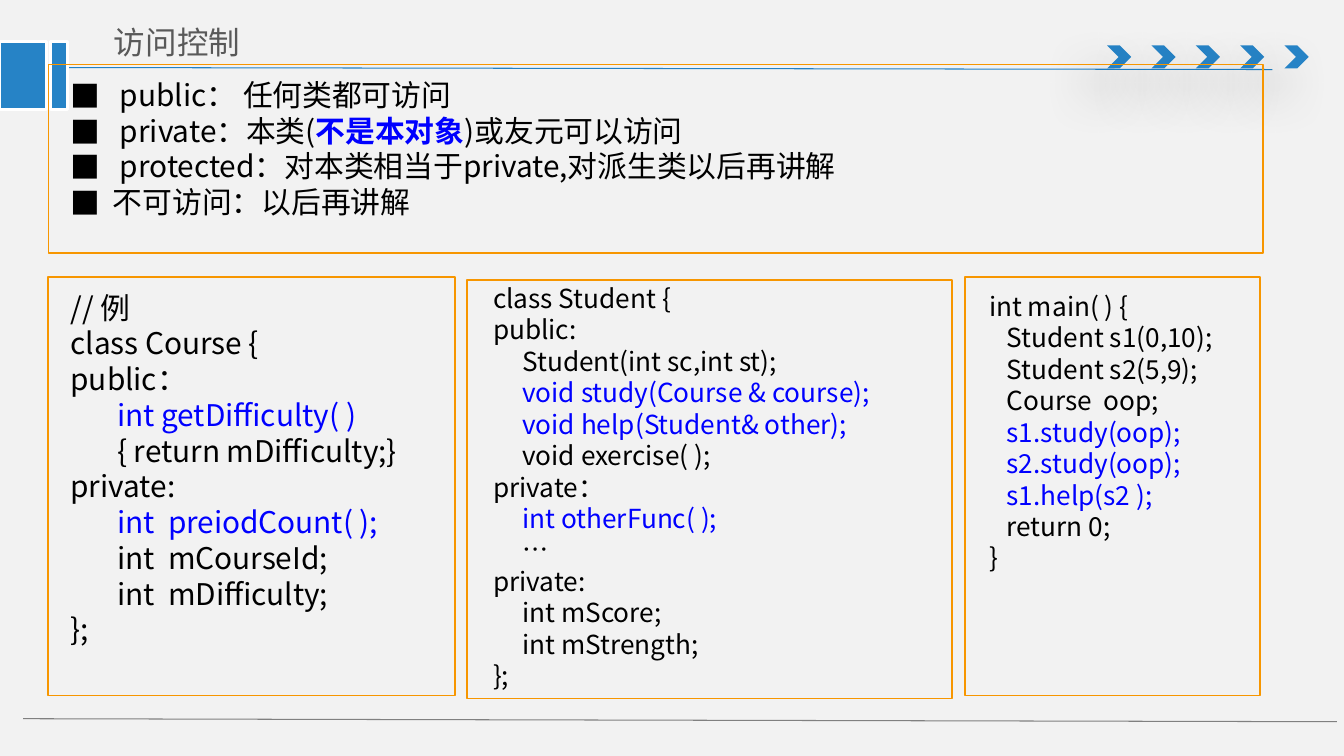
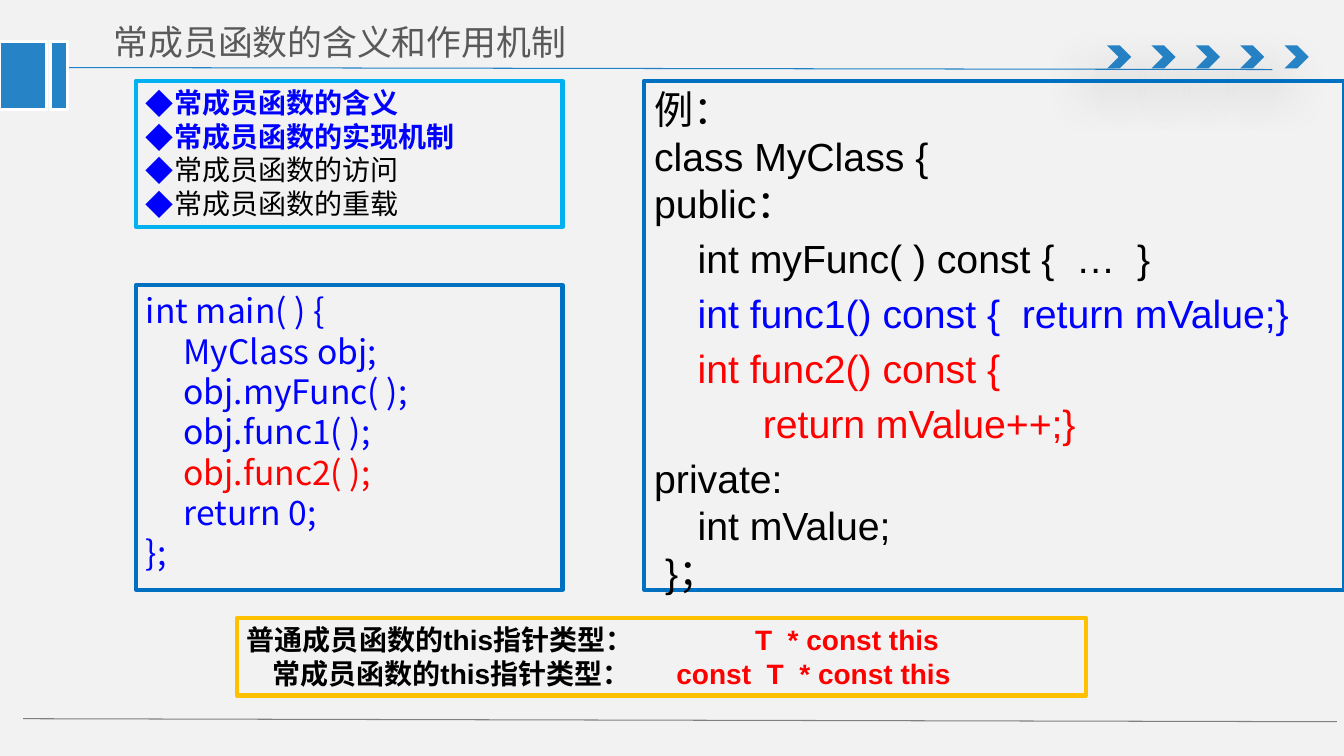
from dataclasses import dataclass
from typing import Optional

import lxml.etree
import pptx
import pptx.dml.color
import pptx.enum.shapes
import pptx.enum.text
import pptx.oxml.ns
import pptx.presentation
import pptx.shapes.autoshape
import pptx.slide
import pptx.util

Inches = pptx.util.Inches
Pt = pptx.util.Pt
RGBColor = pptx.dml.color.RGBColor
Shapes = pptx.enum.shapes.MSO_SHAPE

PAPER = RGBColor(0xF2, 0xF2, 0xF2)
ACCENT = RGBColor(0x26, 0x83, 0xC6)
TITLE_RULE = RGBColor(0x21, 0x81, 0xC6)
FOOTER_RULE = RGBColor(0x80, 0x80, 0x80)
WHITE = RGBColor(0xFF, 0xFF, 0xFF)
BLACK = RGBColor(0x00, 0x00, 0x00)
TITLE_GRAY = RGBColor(0x59, 0x59, 0x59)
BLUE = RGBColor(0x00, 0x00, 0xFF)
RED = RGBColor(0xFF, 0x00, 0x00)
ORANGE = RGBColor(0xF7, 0x96, 0x00)
DEEP_BLUE = RGBColor(0x00, 0x70, 0xC0)
SKY_BLUE = RGBColor(0x00, 0xB0, 0xF0)
GOLD = RGBColor(0xFF, 0xC0, 0x00)

LATIN_FONT = "Arial"
CHINESE_FONT = "Noto Sans CJK SC"


@dataclass(frozen=True)
class Run:
    text: str
    color: RGBColor = BLACK
    bold: bool = False


@dataclass(frozen=True)
class Line:
    runs: tuple[Run, ...]
    bullet: str = ""
    bullet_color: RGBColor = BLACK
    indent: float = 0
    tabs: tuple[float, ...] = ()
    space_before: float = 0


@dataclass(frozen=True)
class Box:
    left: float
    top: float
    width: float
    height: float
    border: Optional[RGBColor]
    border_width: float
    size: float
    lines: tuple[Line, ...]
    font: str = CHINESE_FONT
    inset_left: float = 0.1
    inset_top: float = 0.05


def code(text: str, color: RGBColor = BLACK, space_before: float = 0) -> tuple[Line, ...]:
    first, *rest = text.split("\n")
    return (
        Line((Run(first, color),), space_before=space_before),
        *(Line((Run(line, color),)) for line in rest),
    )


def square_item(indent: float, *runs: Run) -> Line:
    return Line(runs, "■", indent=indent)


def diamond_item(text: str, color: RGBColor, bold: bool) -> Line:
    return Line((Run(text, color, bold),), "◆", BLUE, 0.27)


def add_element(parent, tag: str, **attributes):
    element = lxml.etree.SubElement(parent, pptx.oxml.ns.qn(tag))
    for name, value in attributes.items():
        element.set(name, str(value))
    return element


def set_east_asian_font(font_element) -> None:
    latin = font_element.find(pptx.oxml.ns.qn("a:latin"))
    east_asian = add_element(font_element, "a:ea", typeface=CHINESE_FONT)
    latin.addnext(east_asian)


def style_font(font, color: RGBColor, bold: bool) -> None:
    font.color.rgb = color
    font.bold = bold


def write_line(paragraph, line: Line, size: float, font_name: str) -> None:
    paragraph.alignment = pptx.enum.text.PP_ALIGN.LEFT
    paragraph.space_before = Pt(line.space_before)
    properties = paragraph._p.get_or_add_pPr()
    if line.bullet:
        properties.set("marL", str(Inches(line.indent)))
        properties.set("indent", str(-Inches(line.indent)))
        bullet_color = add_element(properties, "a:buClr")
        add_element(bullet_color, "a:srgbClr", val=line.bullet_color)
        add_element(properties, "a:buFont", typeface=CHINESE_FONT)
        add_element(properties, "a:buChar", char=line.bullet)
    if line.tabs:
        tab_list = add_element(properties, "a:tabLst")
        for position in line.tabs:
            add_element(tab_list, "a:tab", pos=Inches(position), algn="l")
    paragraph.font.size = Pt(size)
    paragraph.font.name = font_name
    set_east_asian_font(properties.find(pptx.oxml.ns.qn("a:defRPr")))
    uniform = len({(run.color, run.bold) for run in line.runs}) == 1
    if uniform:
        style_font(paragraph.font, line.runs[0].color, line.runs[0].bold)
    for run in line.runs:
        text_run = paragraph.add_run()
        text_run.text = run.text
        if not uniform:
            style_font(text_run.font, run.color, run.bold)


def add_box(slide: pptx.slide.Slide, box: Box) -> None:
    shape = add_shape(slide, Shapes.RECTANGLE, box.left, box.top, box.width, box.height)
    shape.fill.background()
    shape.line.color.rgb = box.border
    shape.line.width = Pt(box.border_width)
    frame = shape.text_frame
    frame.word_wrap = True
    frame.vertical_anchor = pptx.enum.text.MSO_ANCHOR.TOP
    frame.margin_left = Inches(box.inset_left)
    frame.margin_top = Inches(box.inset_top)
    frame.margin_right = Inches(0.1)
    for index, line in enumerate(box.lines):
        paragraph = frame.add_paragraph() if index else frame.paragraphs[0]
        write_line(paragraph, line, box.size, box.font)


def add_shape(
    slide: pptx.slide.Slide, kind: Shapes, left: float, top: float, width: float, height: float
) -> pptx.shapes.autoshape.Shape:
    shape = slide.shapes.add_shape(kind, Inches(left), Inches(top), Inches(width), Inches(height))
    shape.shadow.inherit = False
    return shape


def add_rule(
    slide: pptx.slide.Slide, start: tuple[float, float], end: tuple[float, float], color: RGBColor
) -> None:
    rule = slide.shapes.add_connector(
        pptx.enum.shapes.MSO_CONNECTOR.STRAIGHT, *map(Inches, (*start, *end))
    )
    rule.line.color.rgb = color
    rule.line.width = Pt(0.75)
    add_element(rule._element.spPr, "a:effectLst")


def add_chevron(slide: pptx.slide.Slide, left: float) -> None:
    chevron = add_shape(slide, Shapes.CHEVRON, left, 0.45, 0.24, 0.23)
    chevron.fill.solid()
    chevron.fill.fore_color.rgb = ACCENT
    chevron.line.fill.background()
    effects = chevron._element.spPr.find(pptx.oxml.ns.qn("a:effectLst"))
    shadow = add_element(
        effects, "a:outerShdw", blurRad=Pt(36), dist=Pt(24), dir=130 * 60000, rotWithShape=0
    )
    add_element(add_element(shadow, "a:srgbClr", val=BLACK), "a:alpha", val=38000)


def add_titled_slide(
    presentation: pptx.presentation.Presentation, title: str, title_size: float
) -> pptx.slide.Slide:
    slide = presentation.slides.add_slide(presentation.slide_layouts[6])
    add_rule(slide, (0.53, 0.67), (12.62, 0.69), TITLE_RULE)
    for index in range(5):
        add_chevron(slide, 10.98 + index * 0.44)
    add_rule(slide, (0.23, 7.13), (13.26, 7.16), FOOTER_RULE)
    for left, width in ((0, 0.46), (0.5, 0.17)):
        bar = add_shape(slide, Shapes.RECTANGLE, left, 0.41, width, 0.68)
        bar.fill.solid()
        bar.fill.fore_color.rgb = ACCENT
        bar.line.color.rgb = WHITE
        bar.line.width = Pt(2)
    title_box = slide.shapes.add_textbox(Inches(0.99), Inches(0.14), Inches(5.26), Inches(0.55))
    frame = title_box.text_frame
    frame.word_wrap = True
    frame.vertical_anchor = pptx.enum.text.MSO_ANCHOR.MIDDLE
    frame.margin_left = frame.margin_right = Inches(0.14)
    frame.margin_top = frame.margin_bottom = Inches(0.07)
    write_line(frame.paragraphs[0], Line((Run(title, TITLE_GRAY),)), title_size, CHINESE_FONT)
    return slide


ACCESS_BOXES = (
    Box(0.48, 2.75, 4.03, 4.15, ORANGE, 1.25, 21.3, (
        *code("// 例\nclass Course {\npublic："),
        *code("       int getDifficulty( ) ", BLUE),
        *code("       { return mDifficulty;}\nprivate:"),
        *code("       int  preiodCount( );", BLUE),
        *code("       int  mCourseId;\n       int  mDifficulty;\n};"),
    ), inset_left=0.22, inset_top=0.12),
    Box(0.48, 0.64, 12.05, 1.87, ORANGE, 1.25, 21.3, (
        square_item(0.49, Run("public： 任何类都可访问")),
        square_item(0.49, Run("private：本类("), Run("不是本对象", BLUE, True), Run(")或友元可以访问")),
        square_item(0.49, Run("protected：对本类相当于private,对派生类以后再讲解")),
        square_item(0.42, Run("不可访问：以后再讲解")),
    ), inset_left=0.22, inset_top=0.12),
    Box(4.63, 2.78, 4.81, 4.15, ORANGE, 1.25, 18.7, (
        *code("class Student {\npublic:\n     Student(int sc,int st);"),
        *code("     void study(Course & course);\n     void help(Student& other);", BLUE),
        *code("     void exercise( );\nprivate："),
        *code("     int otherFunc( );", BLUE),
        *code("     …\nprivate:\n     int mScore;\n     int mStrength;\n};"),
    ), inset_left=0.26, inset_top=0.02),
    Box(9.57, 2.75, 2.93, 4.15, ORANGE, 1.25, 18.7, (
        *code("int main( ) {\n   Student s1(0,10);\n   Student s2(5,9);\n   Course  oop;"),
        *code("   s1.study(oop);\n   s2.study(oop);\n   s1.help(s2 );", BLUE),
        *code("   return 0;\n}"),
    ), inset_left=0.24, inset_top=0.13),
)

CONST_BOXES = (
    Box(6.39, 0.8, 6.94, 5.05, DEEP_BLUE, 3, 28, (
        *code("例：\nclass MyClass {\npublic："),
        *code("    int myFunc( ) const {  …  }", space_before=5.6),
        *code("    int func1() const {  return mValue;}", BLUE, 5.6),
        *code("    int func2() const {", RED, 5.6),
        *code("          return mValue++;}", RED, 5.6),
        *code("private:\n    int mValue;\n }；", space_before=5.6),
    ), font=LATIN_FONT),
    Box(1.35, 2.83, 4.23, 3.02, DEEP_BLUE, 3, 24, (
        *code("int main( ) {\n     MyClass obj;\n     obj.myFunc( );\n     obj.func1( );", BLUE),
        *code("     obj.func2( );", RED),
        *code("     return 0;\n};", BLUE),
    )),
    Box(1.35, 0.8, 4.23, 1.45, SKY_BLUE, 3, 20, (
        diamond_item("常成员函数的含义", BLUE, True),
        diamond_item("常成员函数的实现机制", BLUE, True),
        diamond_item("常成员函数的访问", BLACK, False),
        diamond_item("常成员函数的重载", BLACK, False),
    )),
    Box(2.35, 6.13, 8.42, 0.77, GOLD, 3, 20, (
        Line((
            Run("普通成员函数的this指针类型：", bold=True),
            Run("\tT  * const this", RED, True),
        ), tabs=(5.04,)),
        Line((
            Run("\t常成员函数的this指针类型：", bold=True),
            Run("\tconst  T  * const this", RED, True),
        ), tabs=(0.25, 4.26)),
    ), font=LATIN_FONT),
)


def main() -> None:
    presentation = pptx.Presentation()
    presentation.slide_width = Inches(13.33)
    presentation.slide_height = Inches(7.5)
    background = presentation.slide_master.background.fill
    background.solid()
    background.fore_color.rgb = PAPER
    for title, title_size, boxes in (
        ("访问控制", 22.5, ACCESS_BOXES),
        ("常成员函数的含义和作用机制", 24.9, CONST_BOXES),
    ):
        slide = add_titled_slide(presentation, title, title_size)
        for box in boxes:
            add_box(slide, box)
    presentation.save("out.pptx")


if __name__ == "__main__":
    main()
